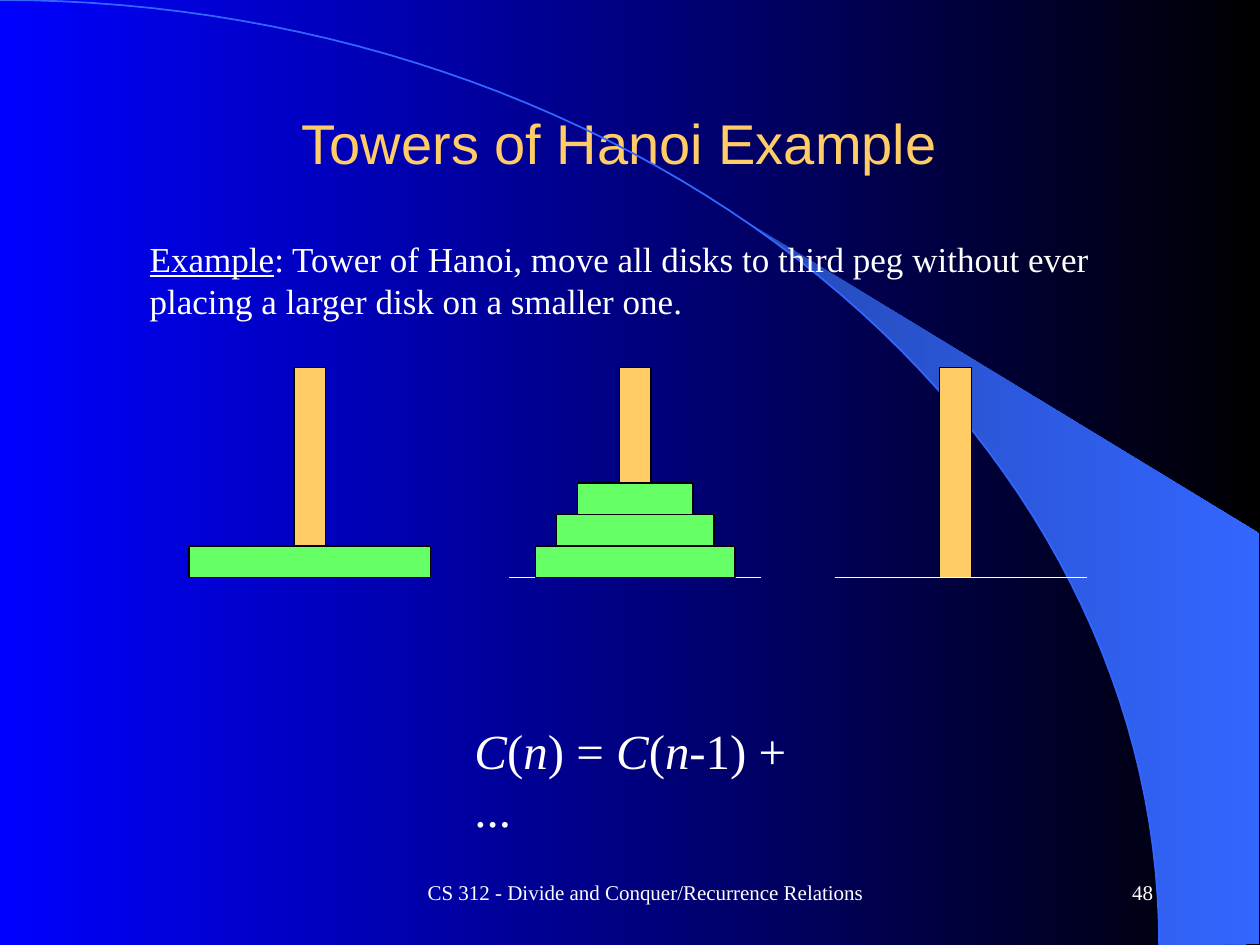
import math
from lxml import etree
from pptx import Presentation, util as u
from pptx.dml.color import RGBColor
from pptx.enum import shapes, text
from pptx.oxml.ns import qn

HUES = {"blue": "0000FF", "black": "000000", "wing": "2449B6", "arc": "3366FF",
        "white": "FFFFFF", "gold": "FFCC66", "green": "66FF66"}
ALIGN = text.PP_ALIGN
SERIF = {"name": "Times New Roman"}
SMALL = {**SERIF, "size": u.Pt(12)}
BODY = {**SERIF, "size": u.Pt(20)}
MATH = {**SERIF, "size": u.Pt(28)}
HEAD = {"name": "Arial", "size": u.Pt(32)}


class Deck:
    cols, rows = 120, 90

    def __init__(self):
        self.prs = Presentation()
        self.prs.slide_width, self.prs.slide_height = u.Inches(10), u.Inches(7.5)
        self.slide = self.prs.slides.add_slide(self.prs.slide_layouts[5])
        self.shapes = self.slide.shapes

    def grid(self, *cells):
        return [round(cell * self.prs.slide_width / self.cols) for cell in cells]

    def hue(self, name):
        return RGBColor.from_string(HUES[name])

    def blend(self, fill, *names):
        fill.gradient()
        fill.gradient_angle = 0
        for stop, name in zip(fill.gradient_stops, names):
            stop.color.rgb = self.hue(name)

    def line(self, shape, name, width):
        shape.line.color.rgb = self.hue(name)
        shape.line.width = u.Pt(width)

    def label(self, shape, runs, style, align=ALIGN.LEFT, tint="white",
              anchor=text.MSO_ANCHOR.TOP, inset=0.1):
        frame = shape.text_frame
        frame.word_wrap = True
        frame.vertical_anchor = anchor
        frame.margin_left = u.Inches(inset)
        para = frame.paragraphs[0]
        para.alignment = align
        for words, extra in runs:
            run = para.add_run()
            run.text = words
            for key, value in {**style, **extra}.items():
                setattr(run.font, key, value)
            run.font.color.rgb = self.hue(tint)

    def title(self, words, box):
        shape = self.shapes.title
        shape.left, shape.top, shape.width, shape.height = self.grid(*box)
        self.label(shape, [(words, {})], HEAD, ALIGN.CENTER, "gold",
                   text.MSO_ANCHOR.MIDDLE)

    def text(self, runs, box, style, **rest):
        self.label(self.shapes.add_textbox(*self.grid(*box)), runs, style, **rest)

    def block(self, box, name):
        shape = self.shapes.add_shape(shapes.MSO_SHAPE.RECTANGLE, *self.grid(*box))
        shape.shadow.inherit = False
        shape.fill.solid()
        shape.fill.fore_color.rgb = self.hue(name)
        self.line(shape, "black", 0.75)

    def base(self, left, right, row):
        shape = self.shapes.add_connector(
            shapes.MSO_CONNECTOR.STRAIGHT, *self.grid(left, row, right, row))
        self.line(shape, "white", 0.75)
        etree.SubElement(shape.element.spPr, qn("a:effectLst"))

    def trace(self, points, close):
        build = self.shapes.build_freeform(*self.grid(*points[0]), scale=1.0)
        build.add_line_segments([self.grid(*point) for point in points[1:]], close=close)
        shape = build.convert_to_shape()
        shape.shadow.inherit = False
        return shape

    def curve(self, start, steps=60):
        angles = [start + (math.pi / 2 - start) * step / steps for step in range(steps + 1)]
        return [(0.92 * self.cols * math.sin(a), self.rows * (1 - math.cos(a)))
                for a in angles]

    def back(self):
        self.blend(self.slide.background.fill, "blue", "black")
        edge = self.curve(math.asin(0.64))
        wing = self.trace(edge + [(119.9, 89.9), (119.9, 50.8)], True)
        self.blend(wing.fill, "wing", "arc")
        wing.line.fill.background()
        arc = self.trace(self.curve(0), False)
        arc.fill.background()
        self.line(arc, "arc", 1)


def main():
    deck = Deck()
    deck.back()
    middle = text.MSO_ANCHOR.MIDDLE
    deck.text([("CS 312 - Divide and Conquer/Recurrence Relations", {})],
              (38, 82, 47, 6), SMALL, align=ALIGN.CENTER, anchor=middle)
    deck.text([("48", {})], (86, 82, 25, 6), SMALL, align=ALIGN.RIGHT, anchor=middle)
    deck.title("Towers of Hanoi Example", (8, 8, 102, 11))
    deck.text([("Example", {"underline": True}),
               (": Tower of Hanoi, move all disks to third peg without ever "
                "placing a larger disk on a smaller one.", {})],
              (8.5, 22, 102, 14), BODY, inset=0.48)

    floor, thick = 55, 3
    deck.block((18, floor - thick, 23, thick), "green")
    for left, tall in ((28, 17), (59, 20), (89.5, 20)):
        deck.block((left, 35, thick, tall), "gold")
    for left in (48.5, 79.5):
        deck.base(left, left + 24, floor)
    for level in range(3):
        deck.block((51 + 2 * level, floor - thick * (level + 1), 19 - 4 * level, thick),
                   "green")

    parts = ["C", "(", "n", ") = ", "C", "(", "n", "-1) + ..."]
    deck.text([(part, {"italic": part.isalpha()}) for part in parts],
              (44, 68, 32.5, 6), MATH)
    deck.prs.save("out.pptx")


if __name__ == "__main__":
    main()
